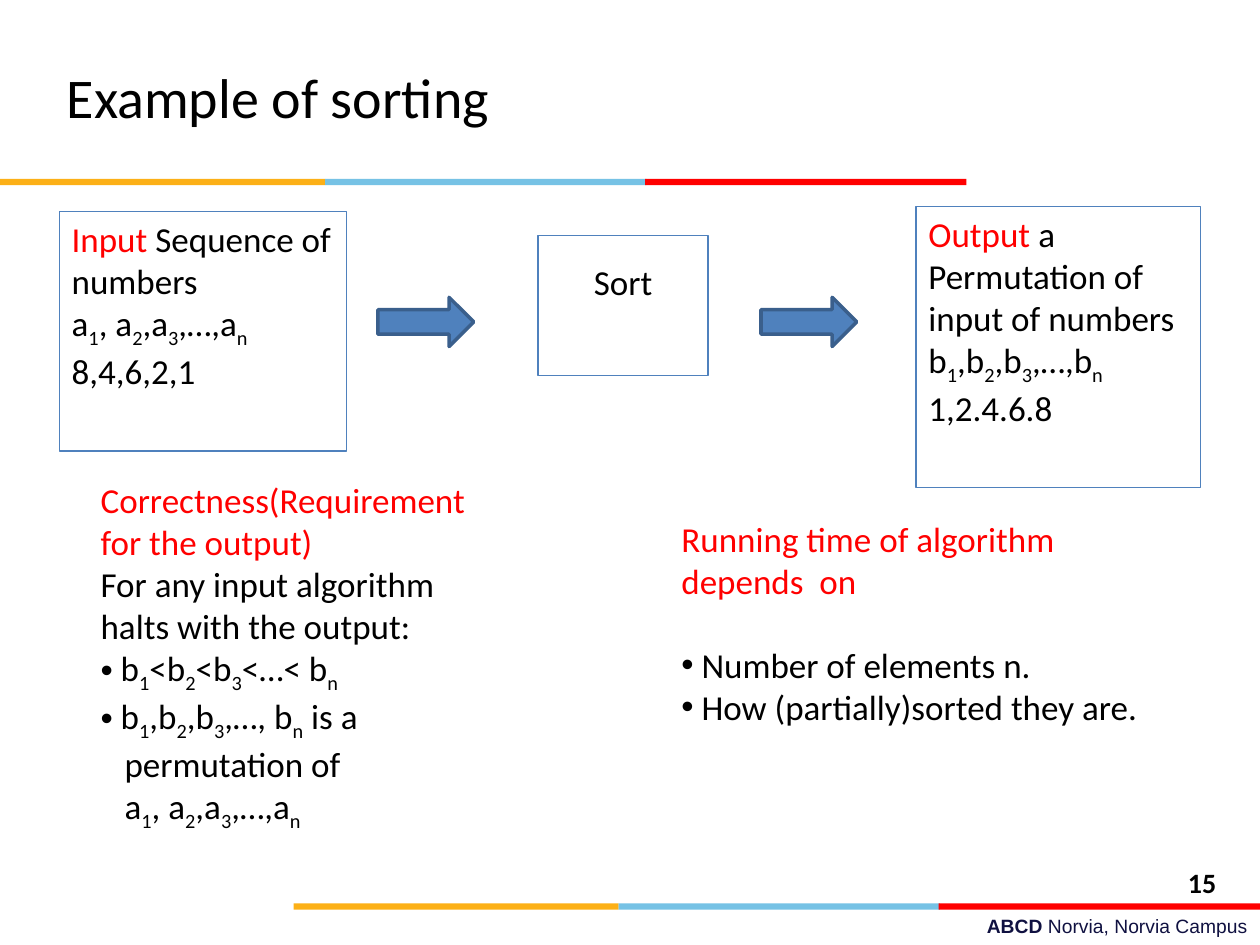
from dataclasses import dataclass

from lxml import etree
from pptx import Presentation
from pptx.dml.color import RGBColor
from pptx.enum.shapes import MSO_SHAPE
from pptx.enum.text import MSO_ANCHOR, PP_ALIGN
from pptx.oxml.ns import qn
from pptx.util import Inches, Pt

RECTANGLE, RIGHT_ARROW = MSO_SHAPE.RECTANGLE, MSO_SHAPE.RIGHT_ARROW
TOP, MIDDLE = MSO_ANCHOR.TOP, MSO_ANCHOR.MIDDLE
LEFT, CENTER, RIGHT = PP_ALIGN.LEFT, PP_ALIGN.CENTER, PP_ALIGN.RIGHT


@dataclass(frozen=True)
class Theme:
    font: str = "Calibri"
    footer_font: str = "Arial"
    black: str = "000000"
    red: str = "FF0000"
    navy: str = "101141"
    blue: str = "4F81BD"
    dark_blue: str = "3A5F8C"
    stripes: tuple = ("FCB017", "76C2E5", "FF0000")
    title_size: int = 32
    body_size: int = 20
    number_size: int = 16
    footer_size: int = 11


@dataclass(frozen=True)
class Line:
    spans: tuple
    bullet: bool = False
    indent: float = 0
    before: float = 0


class SlideBuilder:
    def __init__(self, page, theme):
        self.page = page
        self.theme = theme

    def apply(self, target, values):
        for name, value in values.items():
            setattr(target, name, value)

    def place(self, shape, area):
        names = ("left", "top", "width", "height")
        self.apply(shape, dict(zip(names, map(Inches, area))))

    def span(self, para, text, color, subscript=False, **values):
        span = para.add_run()
        span.text = text
        defaults = {"name": self.theme.font, "size": Pt(self.theme.body_size), "bold": False}
        self.apply(span.font, defaults | values)
        span.font.color.rgb = RGBColor.from_string(color)
        if subscript:
            span.font._element.set("baseline", "-25000")

    def marked(self, para, text, color, **values):
        first, *rest = text.split("_")
        if first:
            self.span(para, first, color, **values)
        for part in rest:
            self.span(para, part[0], color, subscript=True, **values)
            if part[1:]:
                self.span(para, part[1:], color, **values)

    def fill_text(self, shape, lines, align=LEFT, anchor=TOP, margin_top=0.05, **values):
        frame = shape.text_frame
        self.apply(frame, {"word_wrap": True, "vertical_anchor": anchor,
                           "margin_top": Inches(margin_top)})
        for index, line in enumerate(lines):
            para = frame.add_paragraph() if index else frame.paragraphs[0]
            para.alignment = align
            if line.before:
                para.space_before = Pt(line.before)
            if line.indent:
                properties = para._p.get_or_add_pPr()
                properties.set("marL", str(Inches(line.indent)))
                properties.set("indent", str(-Inches(line.indent) if line.bullet else 0))
                if line.bullet:
                    etree.SubElement(properties, qn("a:buFont")).set("typeface", "Arial")
                    etree.SubElement(properties, qn("a:buChar")).set("char", "•")
            for text, color in line.spans:
                self.marked(para, text, color, **values)

    def title(self, area, text):
        title = self.page.shapes.title
        self.place(title, area)
        self.fill_text(title, [Line(((text, self.theme.black),))], anchor=MIDDLE,
                       size=Pt(self.theme.title_size))

    def text(self, area, lines, **values):
        box = self.page.shapes.add_textbox(*map(Inches, area))
        self.fill_text(box, lines, **values)
        return box

    def shape(self, kind, area, fill=None, line=None, width=0.75):
        shape = self.page.shapes.add_shape(kind, *map(Inches, area))
        shape.shadow.inherit = False
        if fill:
            shape.fill.solid()
            shape.fill.fore_color.rgb = RGBColor.from_string(fill)
        else:
            shape.fill.background()
        if line:
            shape.line.color.rgb = RGBColor.from_string(line)
            shape.line.width = Pt(width)
        else:
            shape.line.fill.background()
        return shape

    def stripe(self, left, top):
        for offset, width, color in zip((0, 2.58, 5.12), (2.58, 2.55, 2.55), self.theme.stripes):
            self.shape(RECTANGLE, (left + offset, top, width, 0.05), fill=color)

    def framed(self, area, lines, **values):
        box = self.shape(RECTANGLE, area, line=self.theme.blue)
        self.fill_text(box, lines, **values)

    def arrow(self, left):
        self.shape(RIGHT_ARROW, (left, 2.36, 0.76, 0.39), self.theme.blue, self.theme.dark_blue, 2)


def main():
    theme = Theme()
    deck = Presentation()
    deck.slide_width, deck.slide_height = Inches(10), Inches(7.5)
    page = deck.slides.add_slide(deck.slide_layouts[5])
    builder = SlideBuilder(page, theme)

    def plain(text, **values):
        return Line(((text, theme.black),), **values)

    def heading(text, rest=""):
        spans = ((text, theme.red), (rest, theme.black))
        return Line(spans if rest else spans[:1])

    def bullet(text, **values):
        return plain(text, bullet=True, indent=0.16, **values)

    footer = builder.text((3.58, 7.21, 6.42, 0.29), [Line((("ABCD ", theme.navy),))],
                          align=RIGHT, name=theme.footer_font,
                          size=Pt(theme.footer_size), bold=True)
    builder.span(footer.text_frame.paragraphs[0], "Norvia, Norvia Campus", theme.navy,
                 name=theme.footer_font, size=Pt(theme.footer_size))
    builder.stripe(2.33, 7.17)
    builder.stripe(0, 1.42)
    builder.title((0.43, 0.3, 6.69, 0.93), "Example of sorting")
    builder.text((9.33, 6.82, 0.67, 0.32), [plain("15")],
                 size=Pt(theme.number_size), bold=True)

    input_terms = "a_1, a_2,a_3,…,a_n"
    builder.framed((7.27, 1.64, 2.26, 2.23), [
        heading("Output", " a Permutation of input of numbers"),
        plain("b_1,b_2,b_3,…,b_n"),
        plain("1,2.4.6.8"),
    ])
    builder.framed((0.47, 1.68, 2.28, 1.9), [
        heading("Input", " Sequence of numbers"),
        plain(input_terms),
        plain("8,4,6,2,1"),
    ])
    builder.framed((4.27, 1.87, 1.35, 1.11), [plain("Sort")], align=CENTER, margin_top=0.2)
    for left in (3, 6.04):
        builder.arrow(left)

    builder.text((0.7, 3.75, 3.42, 3.24), [
        heading("Correctness(Requirement for the output)"),
        plain("For any input algorithm halts with the output:"),
        bullet("b_1<b_2<b_3<…< b_n"),
        bullet("b_1,b_2,b_3,…, b_n is a"),
        plain("permutation of", indent=0.19),
        plain(input_terms, indent=0.19),
    ])
    builder.text((5.31, 4.06, 4, 2.23), [
        heading("Running time of algorithm depends  on"),
        bullet("Number of elements n.", before=24),
        bullet("How (partially)sorted they are."),
    ])
    deck.save("out.pptx")


if __name__ == "__main__":
    main()
